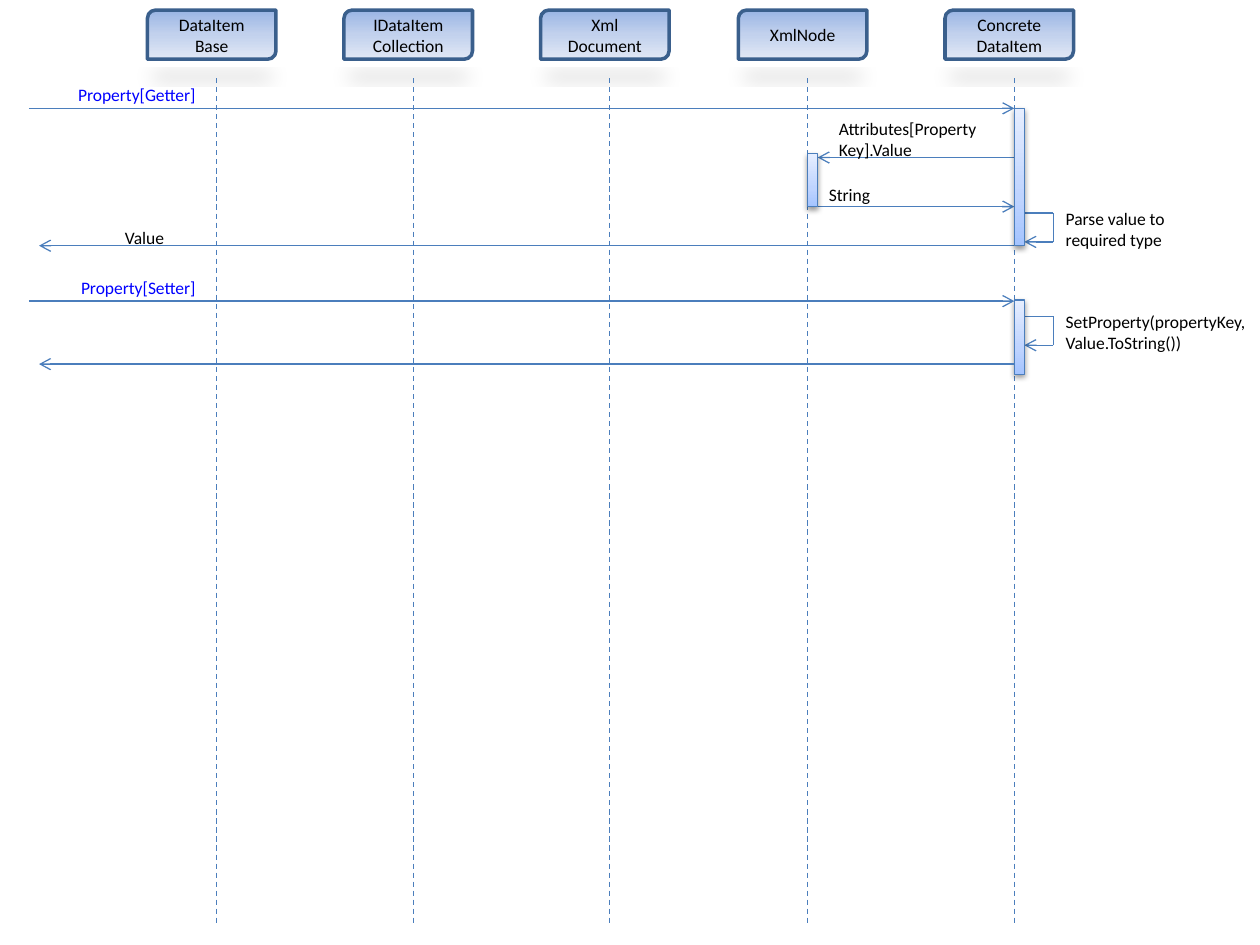
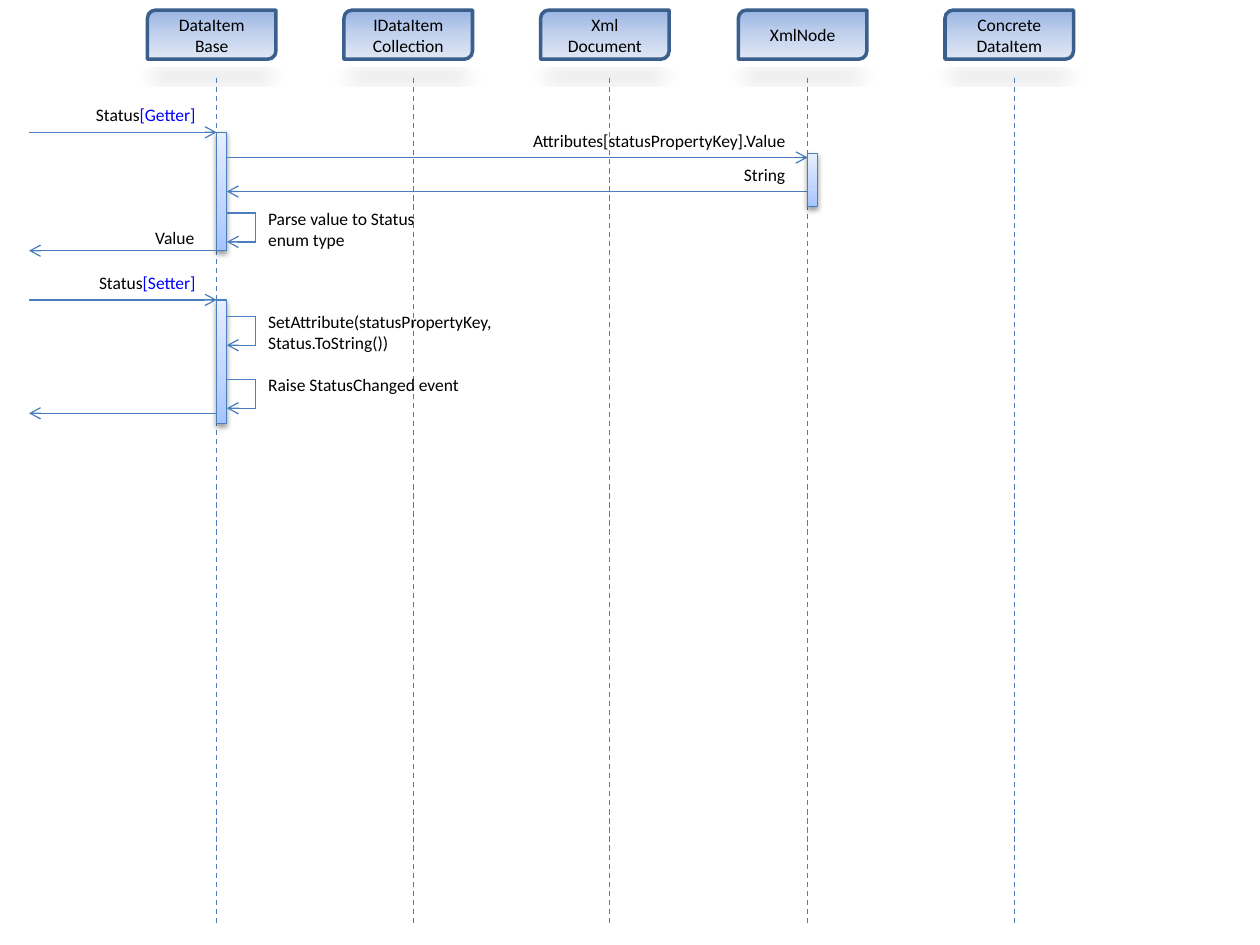
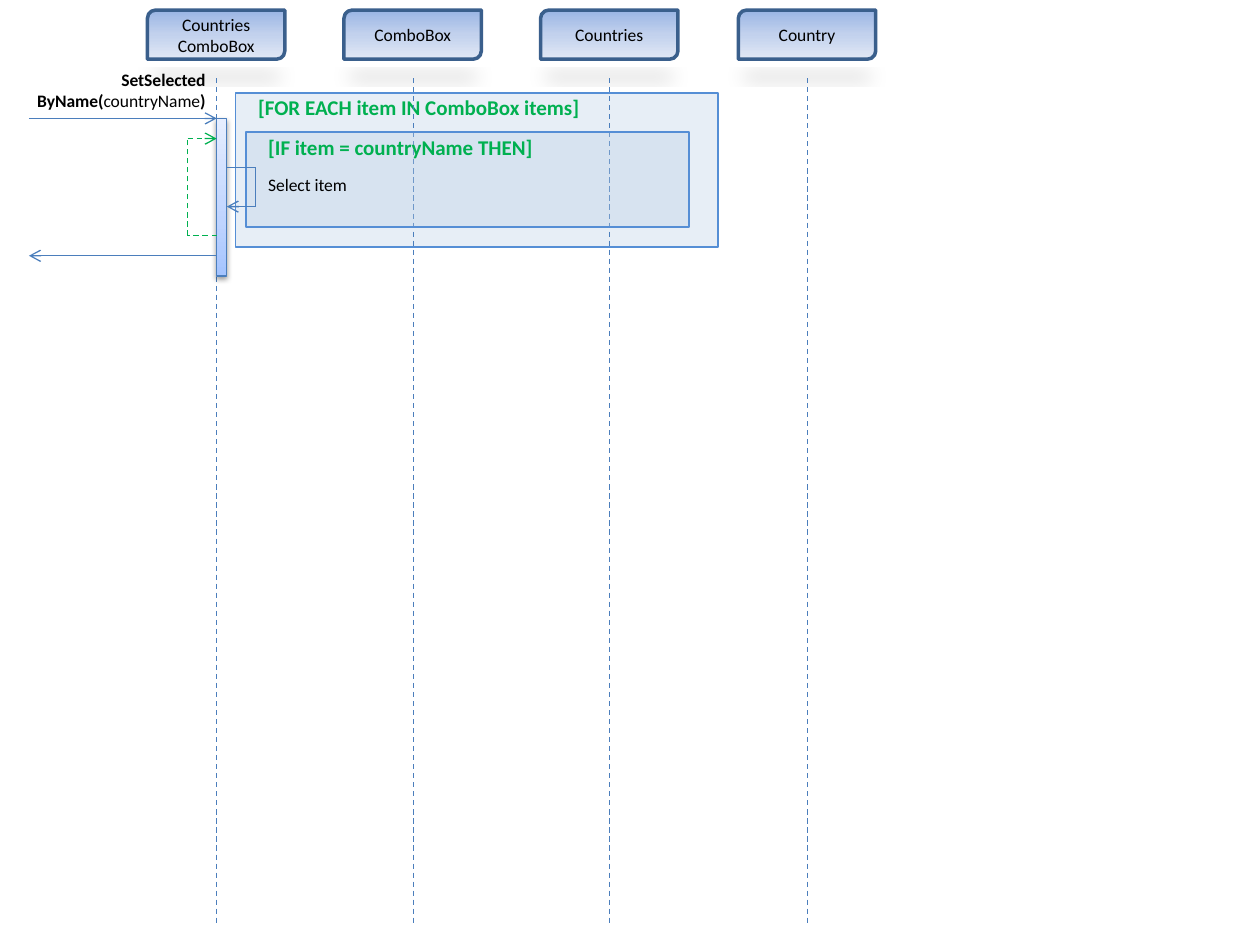
from dataclasses import dataclass

from lxml import etree
from pptx import Presentation
from pptx.dml.color import RGBColor
from pptx.enum import dml, shapes, text
from pptx.oxml import ns
from pptx.util import Inches, Pt

COLOURS = {
    "text": "000000", "accessor": "0000FF", "condition": "00B050",
    "line": "4B7EBC", "header_edge": "3A5F8C",
    "frame": "B9CDE5", "frame_edge": "558ED5", "shadow": "000000",
}
HEADER_STOPS = [(0, "9AB5E4"), (50, "C2D1ED"), (100, "E1E8F5")]
BAR_STOPS = [(0, "A4C4FF"), (35, "BFD4FF"), (100, "E6EEFF")]
FONT = "Calibri"
LEFT, RIGHT = text.PP_ALIGN.LEFT, text.PP_ALIGN.RIGHT

# Lifelines are evenly spaced, except the last, which stands further right
LIFE = [round(1.72 + 1.5625 * i, 2) for i in range(4)] + [8.05]
BAR_W, LOOP_W, HEADER_INSET = 0.08, 0.31, 0.55
EDGE = 0.23


@dataclass
class Run:
    words: str
    colour: str = "text"
    bold: bool = False


Paragraphs = list[list[Run]]


@dataclass
class Participant:
    life: float
    lines: list[str]
    width: float = 1.02


@dataclass
class Message:
    start: float
    end: float
    y: float


@dataclass
class Activation:
    life: float
    top: float
    height: float


@dataclass
class SelfCall:
    life: float
    top: float
    height: float = 0.23


@dataclass
class Label:
    left: float
    top: float
    width: float
    paragraphs: Paragraphs
    height: float = 0.27
    align: text.PP_ALIGN = LEFT
    size: float = 10


@dataclass
class Frame:
    left: float
    top: float
    width: float
    height: float
    condition: str
    title_left: float
    title_top: float


# Formatting helpers
def rgb(name: str) -> RGBColor:
    return RGBColor.from_string(COLOURS[name])


def add_xml(parent, tag: str, **attributes):
    return etree.SubElement(parent, ns.qn(tag), attributes)


def plain(*lines: str) -> Paragraphs:
    return [[Run(line)] for line in lines]


def write(frame, paragraphs: Paragraphs, size: float = 10, align=LEFT,
          anchor=text.MSO_ANCHOR.TOP) -> None:
    frame.word_wrap = True
    frame.vertical_anchor = anchor
    for i, runs in enumerate(paragraphs):
        paragraph = frame.add_paragraph() if i else frame.paragraphs[0]
        paragraph.alignment = align
        for part in runs:
            run = paragraph.add_run()
            run.text = part.words
            run.font.name, run.font.size = FONT, Pt(size)
            run.font.bold = part.bold
            run.font.color.rgb = rgb(part.colour)


def style_line(line, colour: str, width: float, dashed: bool = False) -> None:
    line.color.rgb = rgb(colour)
    line.width = Pt(width)
    if dashed:
        line.dash_style = dml.MSO_LINE.DASH


def fill_gradient(shape, stops: list[tuple[int, str]], angle: int) -> None:
    shape.fill.gradient()
    shape.fill.gradient_angle = angle
    stop_list = shape.element.spPr.find(".//" + ns.qn("a:gsLst"))
    for old in list(stop_list):
        stop_list.remove(old)
    for position, colour in stops:
        stop = add_xml(stop_list, "a:gs", pos=str(position * 1000))
        add_xml(stop, "a:srgbClr", val=colour)


def cast_shadow(shape, blur: float, distance: float, opacity: int, **scale: str) -> None:
    effects = shape.element.spPr.find(ns.qn("a:effectLst"))
    shadow = add_xml(effects, "a:outerShdw", blurRad=str(Pt(blur)), dist=str(Pt(distance)),
                     dir="5400000", **scale, rotWithShape="0")
    colour = add_xml(shadow, "a:srgbClr", val=COLOURS["shadow"])
    add_xml(colour, "a:alpha", val=str(opacity * 1000))


# Drawing functions
def draw_box(slide, kind, left: float, top: float, width: float, height: float,
             edge: str, edge_width: float):
    box = slide.shapes.add_shape(kind, Inches(left), Inches(top), Inches(width), Inches(height))
    box.shadow.inherit = False
    style_line(box.line, edge, edge_width)
    return box


def draw_path(slide, points: list[tuple[float, float]], colour: str = "line",
              dashed: bool = False, arrow: bool = True) -> None:
    """Join the points with straight segments; the last one may carry an arrowhead."""
    for (x1, y1), (x2, y2) in zip(points, points[1:]):
        segment = slide.shapes.add_connector(
            shapes.MSO_CONNECTOR.STRAIGHT, Inches(x1), Inches(y1), Inches(x2), Inches(y2))
        style_line(segment.line, colour, 0.75, dashed)
        add_xml(segment.element.spPr, "a:effectLst")
    if arrow:
        add_xml(segment.element.spPr.find(ns.qn("a:ln")), "a:tailEnd", type="arrow")


def draw_participant(slide, who: Participant) -> None:
    header = draw_box(slide, shapes.MSO_SHAPE.ROUND_2_DIAG_RECTANGLE,
                      who.life - HEADER_INSET, 0.08, who.width, 0.39, "header_edge", 2)
    fill_gradient(header, HEADER_STOPS, 270)
    cast_shadow(header, 12, 7, 15, sx="90000", sy="-19000")
    write(header.text_frame, plain(*who.lines), align=text.PP_ALIGN.CENTER,
          anchor=text.MSO_ANCHOR.MIDDLE)
    draw_path(slide, [(who.life, 0.62), (who.life, 7.34)], dashed=True, arrow=False)


def draw_activation(slide, bar: Activation) -> None:
    box = draw_box(slide, shapes.MSO_SHAPE.RECTANGLE,
                   bar.life, bar.top, BAR_W, bar.height, "line", 0.75)
    fill_gradient(box, BAR_STOPS, 90)
    cast_shadow(box, 3.1, 1.6, 38)


def draw_message(slide, message: Message) -> None:
    draw_path(slide, [(message.start, message.y), (message.end, message.y)])


def draw_self_call(slide, call: SelfCall) -> None:
    near, far = call.life + BAR_W, call.life + LOOP_W
    bottom = call.top + call.height
    draw_path(slide, [(near, call.top), (far, call.top), (far, bottom), (near, bottom)])


def draw_label(slide, label: Label) -> None:
    box = slide.shapes.add_textbox(Inches(label.left), Inches(label.top),
                                   Inches(label.width), Inches(label.height))
    write(box.text_frame, label.paragraphs, size=label.size, align=label.align)
    box.text_frame.auto_size = text.MSO_AUTO_SIZE.SHAPE_TO_FIT_TEXT


def draw_frame(slide, frame: Frame) -> None:
    box = draw_box(slide, shapes.MSO_SHAPE.RECTANGLE, frame.left, frame.top,
                   frame.width, frame.height, "frame_edge", 1)
    box.fill.solid()
    box.fill.fore_color.rgb = rgb("frame")
    colour = box.element.spPr.find(ns.qn("a:solidFill")).find(ns.qn("a:srgbClr"))
    add_xml(colour, "a:alpha", val="33000")
    draw_label(slide, Label(frame.title_left, frame.title_top, 3.67,
                            [[Run(frame.condition, "condition", True)]], 0.3, size=12))


DRAW = {Participant: draw_participant, Activation: draw_activation, Message: draw_message,
        SelfCall: draw_self_call, Label: draw_label, Frame: draw_frame}


def draw_all(slide, parts: list) -> None:
    for part in parts:
        DRAW[type(part)](slide, part)


# Slide content
BASE, _, _, NODE, CONCRETE = LIFE
DATA_PARTICIPANTS = [Participant(life, lines) for life, lines in zip(LIFE, [
    ["DataItem", "Base"], ["IDataItem", "Collection"], ["Xml", "Document"],
    ["XmlNode"], ["Concrete", "DataItem"]])]
COMBO_PARTICIPANTS = [Participant(life, lines, 1.09) for life, lines in zip(LIFE, [
    ["Countries", "ComboBox"], ["ComboBox"], ["Countries"], ["Country"]])]


def accessor_label(top: float, *runs: Run) -> Label:
    return Label(0.47, top, 1.18, [list(runs)], align=RIGHT)


def call_label(life: float, top: float, words: str, width: float, height: float = 0.44) -> Label:
    return Label(life + LOOP_W, top, width, plain(words), height)


PROPERTY_ACCESS = DATA_PARTICIPANTS + [
    # Getter
    SelfCall(CONCRETE, 1.69),
    call_label(CONCRETE, 1.6, "Parse value to required type", 1.09),
    Message(CONCRETE, NODE + BAR_W, 1.25),
    Label(6.56, 0.89, 1.48, plain("Attributes[Property", "Key].Value"), 0.44),
    Message(NODE + BAR_W, CONCRETE, 1.64),
    Label(6.48, 1.41, 0.94, plain("String")),
    Message(CONCRETE, 0.31, 1.95),
    Label(0.31, 1.75, 1.09, plain("Value"), align=RIGHT),
    Activation(NODE, 1.22, 0.42),
    accessor_label(0.62, Run("Property[Getter]", "accessor")),
    Message(EDGE, CONCRETE, 0.86),
    Activation(CONCRETE, 0.86, 1.09),
    # Setter
    SelfCall(CONCRETE, 2.51),
    call_label(CONCRETE, 2.42, "SetProperty(propertyKey, Value.ToString())", 2.03),
    Activation(CONCRETE, 2.38, 0.59),
    accessor_label(2.15, Run("Property[Setter]", "accessor")),
    Message(EDGE, CONCRETE, 2.39),
    Message(CONCRETE, 0.31, 2.89),
]

STATUS_ACCESS = DATA_PARTICIPANTS + [
    # Getter
    Message(EDGE, BASE, 1.05),
    accessor_label(0.78, Run("Status"), Run("[Getter]", "accessor")),
    Activation(BASE, 1.05, 0.94),
    SelfCall(BASE, 1.69),
    call_label(BASE, 1.6, "Parse value to Status enum type", 1.56),
    Message(BASE + BAR_W, NODE, 1.25),
    Label(3.52, 0.98, 2.81, plain("Attributes[statusPropertyKey].Value"), align=RIGHT),
    Message(NODE, BASE + BAR_W, 1.52),
    Label(3.52, 1.25, 2.81, plain("String"), align=RIGHT),
    Message(BASE, EDGE, 1.99),
    Label(0.55, 1.75, 1.09, plain("Value"), align=RIGHT),
    Activation(NODE, 1.22, 0.42),
    # Setter
    Message(EDGE, BASE, 2.38),
    accessor_label(2.11, Run("Status"), Run("[Setter]", "accessor")),
    Activation(BASE, 2.38, 0.98),
    SelfCall(BASE, 2.51),
    call_label(BASE, 2.42, "SetAttribute(statusPropertyKey, Status.ToString())", 2.03),
    Message(BASE, EDGE, 3.28),
    SelfCall(BASE, 3.01),
    call_label(BASE, 2.92, "Raise StatusChanged event", 2.03, 0.27),
]

SELECT_BY_NAME = [
    Frame(1.87, 0.74, 3.83, 1.22, "[FOR EACH item IN ComboBox items]", 1.95, 0.7),
    Message(EDGE, BASE, 0.94),
    Label(0, 0.5, 1.73, [
        [Run("SetSelected", bold=True)],
        [Run("ByName(", bold=True), Run("countryName"), Run(")", bold=True)],
    ], 0.44, RIGHT),
    *COMBO_PARTICIPANTS,
    Activation(BASE, 0.94, 1.25),
    Message(BASE, EDGE, 2.03),
    Frame(1.95, 1.05, 3.52, 0.75, "[IF item = countryName THEN]", 2.03, 1.02),
    SelfCall(BASE, 1.33, 0.31),
    call_label(BASE, 1.33, "Select item", 0.86, 0.27),
]


def main() -> None:
    deck = Presentation()
    deck.slide_width, deck.slide_height = Inches(10), Inches(7.5)
    blank = deck.slide_layouts[6]
    for parts in (PROPERTY_ACCESS, STATUS_ACCESS, SELECT_BY_NAME):
        slide = deck.slides.add_slide(blank)
        draw_all(slide, parts)
    # Iteration arrow back to the start of the loop, on the last slide
    draw_path(slide, [(BASE, 1.87), (1.49, 1.87), (1.49, 1.1), (BASE, 1.1)],
              "condition", dashed=True)
    deck.save("out.pptx")


if __name__ == "__main__":
    main()
